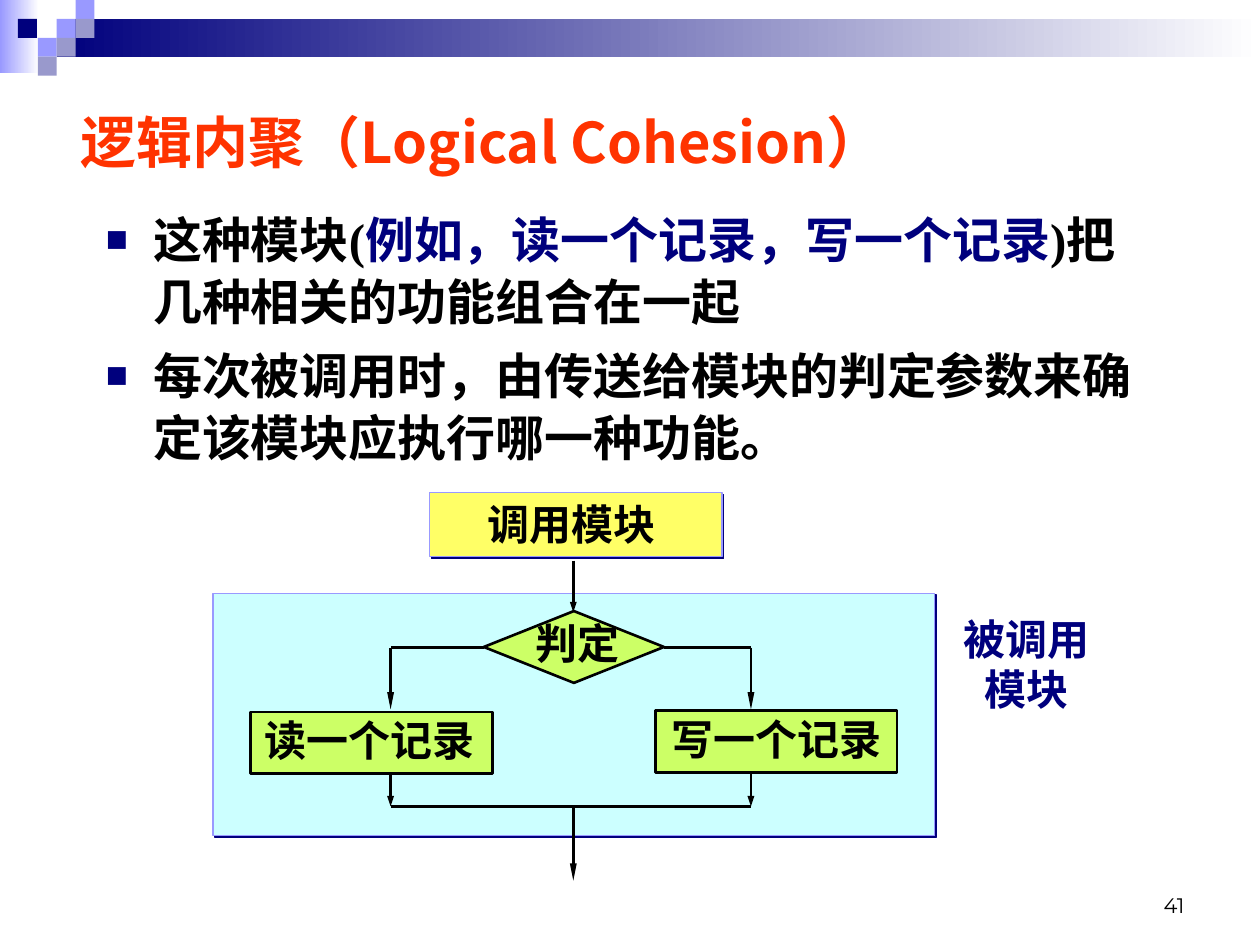
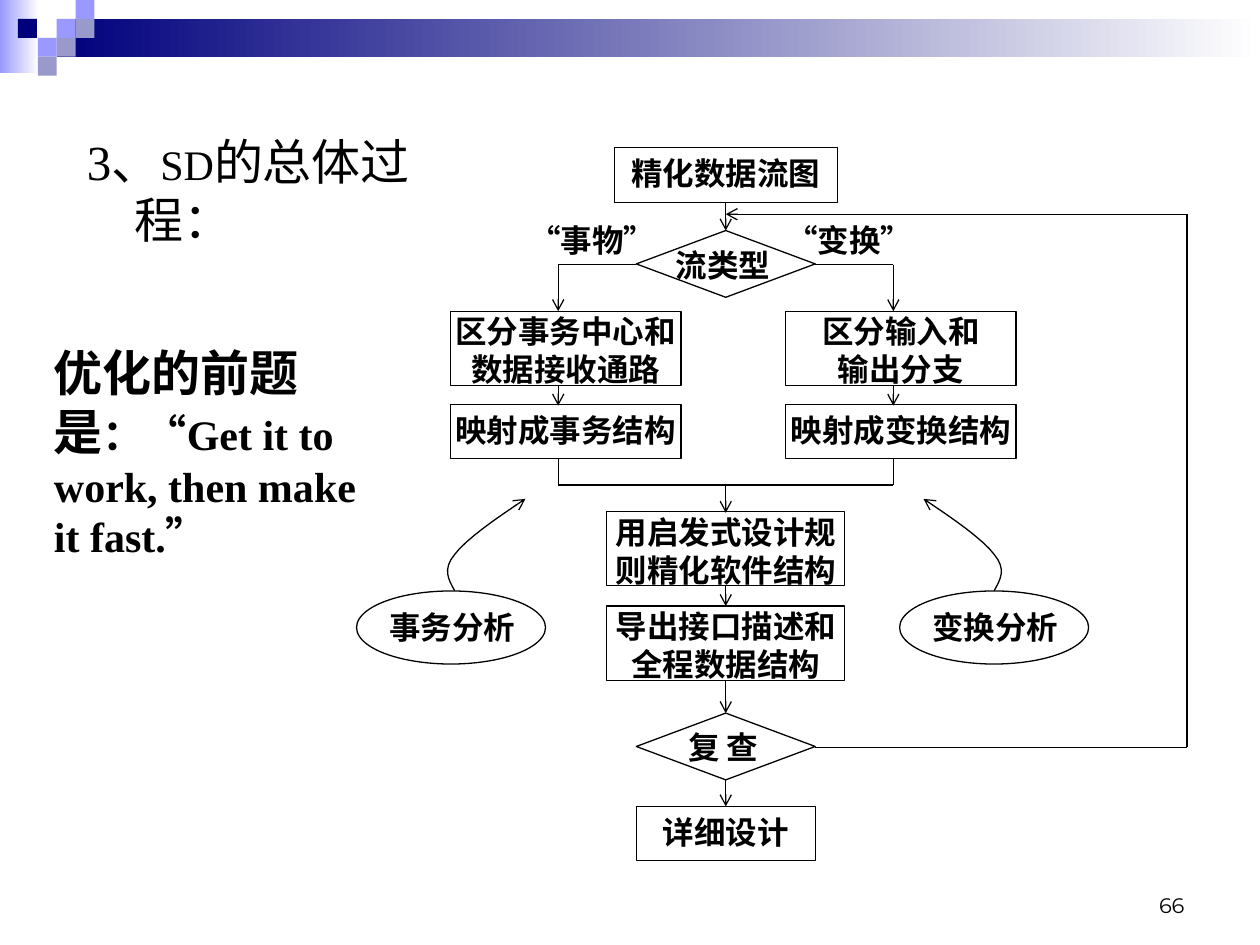
from lxml.etree import SubElement
from pptx import Presentation
from pptx.dml.color import RGBColor
from pptx.enum.shapes import MSO_CONNECTOR, MSO_SHAPE
from pptx.enum.text import MSO_ANCHOR, MSO_AUTO_SIZE, PP_ALIGN
from pptx.oxml import parse_xml
from pptx.oxml.ns import nsdecls, qn
from pptx.util import Inches, Pt

NAVY, VIOLET, GREY_VIOLET = "00007D", "9999FF", "9999CC"
BLACK, WHITE, ORANGE = "000000", "FFFFFF", "FF3300"
YELLOW, CYAN, LIME = "FFFF66", "CCFFFF", "CCFF66"
SERIF, SANS, NUMBER_FONT = "Times New Roman", "Noto Sans CJK JP", "Montserrat"
RECT, DIAMOND, OVAL = MSO_SHAPE.RECTANGLE, MSO_SHAPE.DIAMOND, MSO_SHAPE.OVAL
ink = RGBColor.from_string


def place(page, kind, left, top, width, height, text="", size=18, fill=None,
          line=None, weight=0.75, color=BLACK, inset=0.01, wrap=True):
    frame = [Inches(length) for length in (left, top, width, height)]
    if kind is None:
        box = page.shapes.add_textbox(*frame)
    else:
        box = page.shapes.add_shape(kind, *frame)
        box.shadow.inherit = False
        if fill:
            box.fill.solid()
            box.fill.fore_color.rgb = ink(fill)
        else:
            box.fill.background()
        if line:
            box.line.color.rgb = ink(line)
            box.line.width = Pt(weight)
        else:
            box.line.fill.background()
    if text:
        body = box.text_frame
        body.text = text
        body.word_wrap = wrap
        body.vertical_anchor = MSO_ANCHOR.TOP
        body.margin_left = body.margin_right = Inches(0.02)
        body.margin_top, body.margin_bottom = Inches(inset), Inches(0.01)
        for para in body.paragraphs:
            para.alignment = PP_ALIGN.CENTER
            para.font.name, para.font.size, para.font.bold = SERIF, Pt(size), True
            para.font.color.rgb = ink(color)
    return box


def connect(page, x1, y1, x2, y2, weight=0.75, head=None, breadth="med", length="med"):
    link = page.shapes.add_connector(
        MSO_CONNECTOR.STRAIGHT, Inches(x1), Inches(y1), Inches(x2), Inches(y2))
    link.line.color.rgb = ink(BLACK)
    link.line.width = Pt(weight)
    SubElement(link._element.spPr, qn("a:effectLst"))
    if head:
        SubElement(link.line._get_or_add_ln(), qn("a:tailEnd"), type=head, w=breadth, len=length)


deck = Presentation()
deck.slide_width, deck.slide_height = Inches(10), Inches(7.5)
layout = deck.slide_layouts[1]
cohesion, process = [deck.slides.add_slide(layout) for _ in range(2)]

step = 0.15
band_parts = []
for left, top, width, height, color in [
    (0, 0, 0.31, 0.58, VIOLET),
    (3 * step, step, 10 - 3 * step, 2 * step, NAVY),
]:
    band = place(cohesion, RECT, left, top, width, height)
    band.fill.gradient()
    band.fill.gradient_angle = 0
    for stop, shade in zip(band.fill.gradient_stops, (color, WHITE)):
        stop.color.rgb = ink(shade)
    band_parts.append(band)
for column, row, color in [
    (3, 1, VIOLET), (4, 0, VIOLET), (4, 1, GREY_VIOLET), (2, 2, VIOLET),
    (0.95, 1, NAVY), (3, 2, GREY_VIOLET), (2, 3, GREY_VIOLET),
]:
    band_parts.append(
        place(cohesion, RECT, column * step, row * step, step, step, fill=color))
for part in band_parts:
    deck.slide_master.element.cSld.spTree.append(part._element)

for page, number in ((cohesion, "41"), (process, "66")):
    box = page.shapes.add_textbox(Inches(7.17), Inches(6.83), Inches(2.33), Inches(0.5))
    box.text_frame.word_wrap = True
    box.text_frame.vertical_anchor = MSO_ANCHOR.BOTTOM
    box.text_frame.text = number
    para = box.text_frame.paragraphs[0]
    para.alignment = PP_ALIGN.RIGHT
    para.font.name, para.font.size = NUMBER_FONT, Pt(12)
    para.font.color.rgb = ink(BLACK)

title, cohesion_list = cohesion.placeholders
empty_title, process_list = process.placeholders
empty_title._element.getparent().remove(empty_title._element)
for box, left, top, width, height in [
    (title, 0.54, 0.54, 9, 1.16),
    (cohesion_list, 0.74, 1.59, 8.5, 2.52),
    (process_list, 0.59, 0.99, 3.67, 0.58),
]:
    box.left, box.top = Inches(left), Inches(top)
    box.width, box.height = Inches(width), Inches(height)
    box.text_frame.auto_size = MSO_AUTO_SIZE.NONE

para = title.text_frame.paragraphs[0]
para.alignment = PP_ALIGN.LEFT
para.font.size, para.font.bold = Pt(32), True
para.font.color.rgb = ink(ORANGE)
for text, font in (("逻辑内聚", SERIF), ("（Logical Cohesion）", SANS)):
    span = para.add_run()
    span.text, span.font.name = text, font

points = [
    [("这种模块(", BLACK), ("例如，读一个记录，写一个记录", NAVY), (")把几种相关的功能组合在一起", BLACK)],
    [("每次被调用时，由传送给模块的判定参数来确定该模块应执行哪一种功能。", BLACK)],
]
cohesion_list.text_frame.text = "\n" * (len(points) - 1)
for para, spans in zip(cohesion_list.text_frame.paragraphs, points):
    para.line_spacing, para.space_before = 1.05, Pt(7)
    properties = para._p.get_or_add_pPr()
    for bullet in (
        f'<a:buClr {nsdecls("a")}><a:srgbClr val="{NAVY}"/></a:buClr>',
        f'<a:buSzPct {nsdecls("a")} val="75000"/>',
        f'<a:buChar {nsdecls("a")} char="■"/>',
    ):
        properties.append(parse_xml(bullet))
    para.font.name, para.font.size, para.font.bold = SERIF, Pt(28), True
    for text, color in spans:
        span = para.add_run()
        span.text, span.font.color.rgb = text, ink(color)

for left, top, width, height, color in [
    (3.41, 3.91, 2.32, 0.51, YELLOW), (1.69, 4.71, 5.73, 1.92, CYAN),
]:
    panel = place(cohesion, RECT, left, top, width, height, fill=color, line=VIOLET)
    effects = panel._element.spPr.find(qn("a:effectLst"))
    shadow = SubElement(effects, qn("a:outerShdw"), dist=str(Pt(1.4)), dir="2700000", algn="ctr", rotWithShape="0")
    SubElement(shadow, qn("a:srgbClr"), val=NAVY)

read_x, test_x, write_x = 3.1, 4.55, 5.96
test_y, merge_y = 5.14, 6.4
for kind, left, top, width, height in [
    (DIAMOND, 3.84, 4.85, 1.43, 0.57),
    (RECT, 5.2, 5.64, 1.92, 0.49),
    (RECT, 1.99, 5.65, 1.92, 0.49),
]:
    place(cohesion, kind, left, top, width, height, fill=LIME, line=BLACK, weight=1.5)
for x1, y1, x2, y2, head, length in [
    (test_x, 4.45, test_x, 4.86, "triangle", "med"),
    (5.27, test_y, write_x, test_y, None, None),
    (3.84, test_y, read_x, test_y, None, None),
    (write_x, test_y, write_x, 5.63, "triangle", "lg"),
    (read_x, test_y, read_x, 5.63, "triangle", "lg"),
    (write_x, 6.13, write_x, merge_y, "triangle", "med"),
    (read_x, 6.13, read_x, merge_y, "triangle", "med"),
    (read_x, merge_y, write_x, merge_y, None, None),
    (test_x, merge_y, test_x, 6.99, "triangle", "lg"),
]:
    connect(cohesion, x1, y1, x2, y2, 1.5, head, "sm", length)
for left, top, width, height, text, color in [
    (5.23, 5.61, 1.86, 0.5, "写一个记录", BLACK),
    (2, 5.62, 1.86, 0.5, "读一个记录", BLACK),
    (4.15, 4.85, 0.86, 0.5, "判定", BLACK),
    (3.77, 3.91, 1.53, 0.5, "调用模块", BLACK),
    (7.55, 4.82, 1.2, 0.9, "被调用\n模块", NAVY),
]:
    place(cohesion, None, left, top, width, height, text, 24, color=color, inset=0.05, wrap=False)

quote = process.shapes.add_textbox(Inches(0.33), Inches(2.67), Inches(2.83), Inches(1.77))
SubElement(process_list.text_frame.paragraphs[0]._p.get_or_add_pPr(), qn("a:buNone"))
for box, before, bold, right_margin, spans in [
    (process_list, 7, False, 0.5, [("3、", 28), ("SD", 24), ("的总体过程：", 28)]),
    (quote, 15, True, 0.25,
     [("优化的前题是", 28), ("：“Get it to work, then make it fast.”", 24)]),
]:
    box.text_frame.word_wrap = True
    box.text_frame.margin_right = Inches(right_margin)
    para = box.text_frame.paragraphs[0]
    para.space_before = Pt(before)
    para._p.get_or_add_pPr().set("hangingPunct", "0")
    para.font.name, para.font.bold = SERIF, bold
    para.font.color.rgb = ink(BLACK)
    for text, size in spans:
        span = para.add_run()
        span.text, span.font.size = text, Pt(size)

left_x, middle_x, right_x, return_x = 4.43, 5.76, 7.09, 9.42
return_y, branch_y, join_y, review_y = 1.7, 2.1, 3.85, 5.93
for center, top, width, height, text, inset in [
    (middle_x, 1.17, 1.77, 0.44, "精化数据流图", 0.05),
    (left_x + 0.06, 2.47, 1.83, 0.59, "区分事务中心和数据接收通路", 0.01),
    (right_x + 0.06, 2.47, 1.83, 0.59, "区分输入和\n输出分支", 0.01),
    (left_x + 0.06, 3.21, 1.83, 0.43, "映射成事务结构", 0.05),
    (right_x + 0.06, 3.21, 1.83, 0.43, "映射成变换结构", 0.05),
    (middle_x, 4.06, 1.89, 0.59, "用启发式设计规则精化软件结构", 0.01),
    (middle_x, 4.81, 1.89, 0.59, "导出接口描述和\n全程数据结构", 0.01),
    (middle_x, 6.4, 1.42, 0.43, "详细设计", 0.05),
]:
    place(process, RECT, center - width / 2, top, width, height, text, line=BLACK, inset=inset)
for kind, left, top, width, height in [
    (DIAMOND, 5.05, 1.83, 1.42, 0.53), (DIAMOND, 5.05, 5.66, 1.42, 0.53),
    (OVAL, 2.83, 4.69, 1.5, 0.58), (OVAL, 7.14, 4.69, 1.5, 0.58),
]:
    place(process, kind, left, top, width, height, line=BLACK)
for left, top, width, height, text, inset in [
    (4.17, 1.74, 1.06, 0.29, "“事物”", 0.01),
    (6.21, 1.74, 1.06, 0.29, "“变换”", 0.01),
    (5.27, 1.94, 0.94, 0.44, "流类型", 0.01),
    (5.27, 5.77, 0.94, 0.44, "复 查", 0.01),
    (2.93, 4.78, 1.32, 0.43, "事务分析", 0.05),
    (7.24, 4.78, 1.32, 0.43, "变换分析", 0.05),
]:
    place(process, None, left, top, width, height, text, inset=inset)

for column, edge in ((left_x, 5.05), (right_x, 6.47)):
    connect(process, column, branch_y, edge, branch_y)
    connect(process, column, branch_y, column, 2.47, head="arrow")
    connect(process, column, 3.06, column, 3.22, head="arrow")
    connect(process, column, 3.64, column, join_y)
connect(process, left_x, join_y, right_x, join_y)
for start, end in ((1.61, 1.83), (join_y, 4.07), (4.65, 4.81), (5.4, 5.66), (6.19, 6.4)):
    connect(process, middle_x, start, middle_x, end, head="arrow")
connect(process, 6.47, review_y, return_x, review_y)
connect(process, return_x, return_y, return_x, review_y)
connect(process, return_x, return_y, middle_x, return_y, head="arrow")

curves = [
    [(7.89, 4.69), (7.94, 4.6), (7.99, 4.52), (7.89, 4.4)],
    [(7.89, 4.4), (7.8, 4.28), (7.57, 4.12), (7.33, 3.96)],
]
trail = [(7.89, 4.69)] + [
    [sum(share * point[axis] for share, point in zip(
        ((1 - t) ** 3, 3 * t * (1 - t) ** 2, 3 * t * t * (1 - t), t ** 3), curve))
     for axis in (0, 1)]
    for curve in curves for t in (tick / 8 for tick in range(1, 9))
]
for mirrored in (False, True):
    outline = [(Inches(11.5 - x if mirrored else x), Inches(y)) for x, y in trail]
    builder = process.shapes.build_freeform(*outline[0])
    builder.add_line_segments(outline[1:], close=False)
    arrow = builder.convert_to_shape()
    arrow.shadow.inherit = False
    arrow.fill.background()
    arrow.line.color.rgb = ink(BLACK)
    arrow.line.width = Pt(0.75)
    SubElement(arrow.line._get_or_add_ln(), qn("a:tailEnd"), type="arrow")

deck.save("out.pptx")
